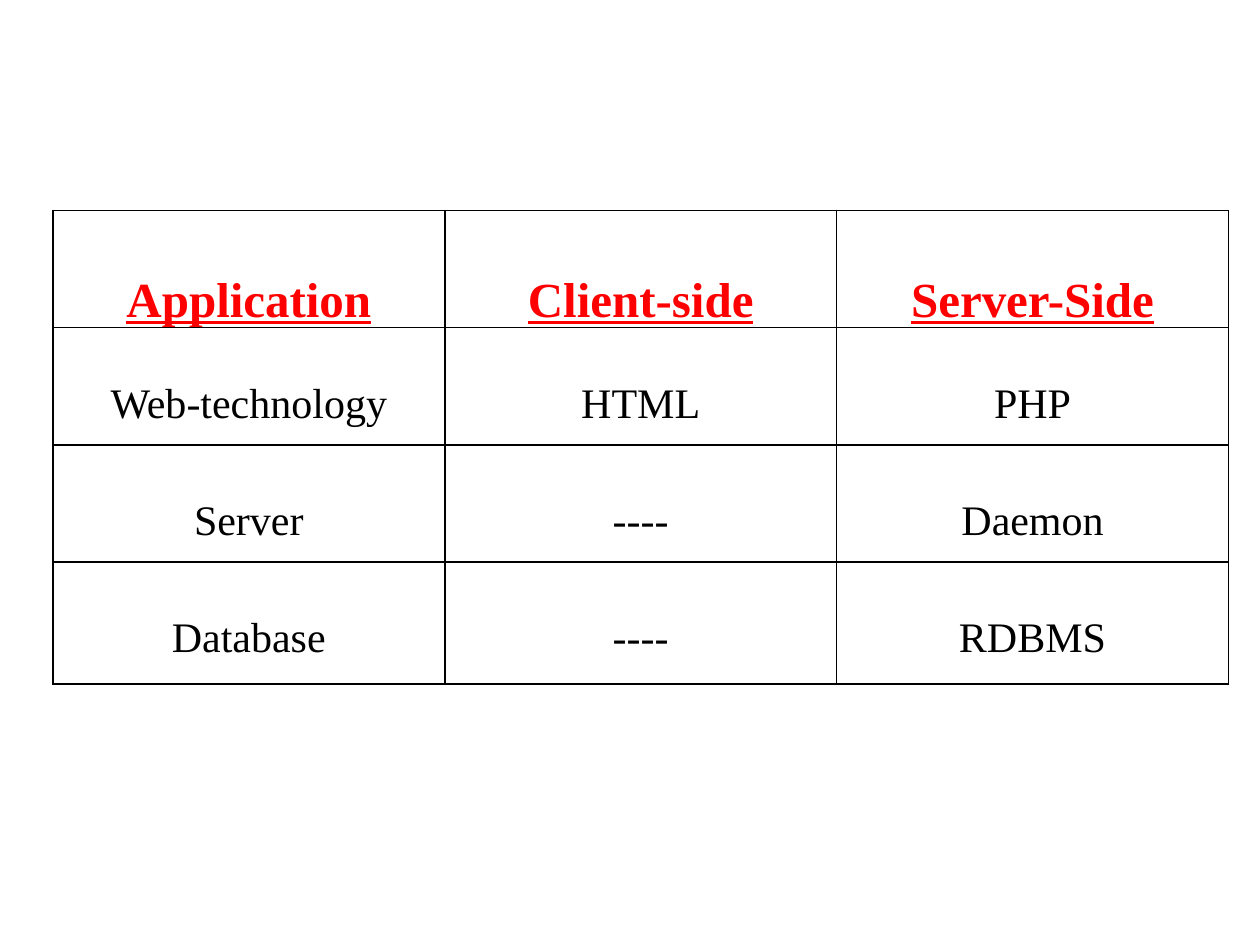
"""Build a slide with a table of client-side and server-side technologies."""
from lxml import etree
from pptx import Presentation
from pptx import util as u
from pptx.dml.color import RGBColor
from pptx.enum import text
from pptx.oxml.ns import qn

COLORS = {"heading": "FF0000", "body": "000000", "border": "000000"}
ROWS = [
    ("Application", "Client-side", "Server-Side"),
    ("Web-technology", "HTML", "PHP"),
    ("Server", "----", "Daemon"),
    ("Database", "----", "RDBMS"),
]
ROW_HEIGHTS = [0.93, 0.93, 0.93, 0.97]
BOTTOM_GAPS = [0, 0.14, 0.14, 0.18]
COLUMN_WIDTH = 3.11


def add_borders(cell):
    properties = cell._tc.get_or_add_tcPr()
    for position, side in enumerate(("lnL", "lnR", "lnT", "lnB")):
        line = etree.Element(qn(f"a:{side}"), w=str(u.Pt(1)))
        fill = etree.SubElement(line, qn("a:solidFill"))
        etree.SubElement(fill, qn("a:srgbClr"), val=COLORS["border"])
        properties.insert(position, line)


deck = Presentation()
deck.slide_width, deck.slide_height = u.Inches(10), u.Inches(7.5)
page = deck.slides.add_slide(deck.slide_layouts[6])

table = page.shapes.add_table(
    len(ROWS), len(ROWS[0]), u.Inches(0.42), u.Inches(1.67),
    u.Inches(COLUMN_WIDTH * len(ROWS[0])), u.Inches(sum(ROW_HEIGHTS)),
).table
table.first_row = table.horz_banding = False
for column in table.columns:
    column.width = u.Inches(COLUMN_WIDTH)

for row, words in enumerate(ROWS):
    heading = row == 0
    table.rows[row].height = u.Inches(ROW_HEIGHTS[row])
    for column, word in enumerate(words):
        cell = table.cell(row, column)
        cell.fill.background()
        cell.margin_left = cell.margin_right = u.Inches(0.07)
        cell.margin_top, cell.margin_bottom = 0, u.Inches(BOTTOM_GAPS[row])
        cell.vertical_anchor = text.MSO_ANCHOR.BOTTOM
        add_borders(cell)
        para = cell.text_frame.paragraphs[0]
        para.alignment = text.PP_ALIGN.CENTER
        para.line_spacing = 1.15
        span = para.add_run()
        span.text = word
        span.font.name = "Times New Roman"
        span.font.size = u.Pt(28 if heading else 24)
        span.font.bold = span.font.underline = heading
        span.font.color.rgb = RGBColor.from_string(COLORS["heading" if heading else "body"])

deck.save("out.pptx")
